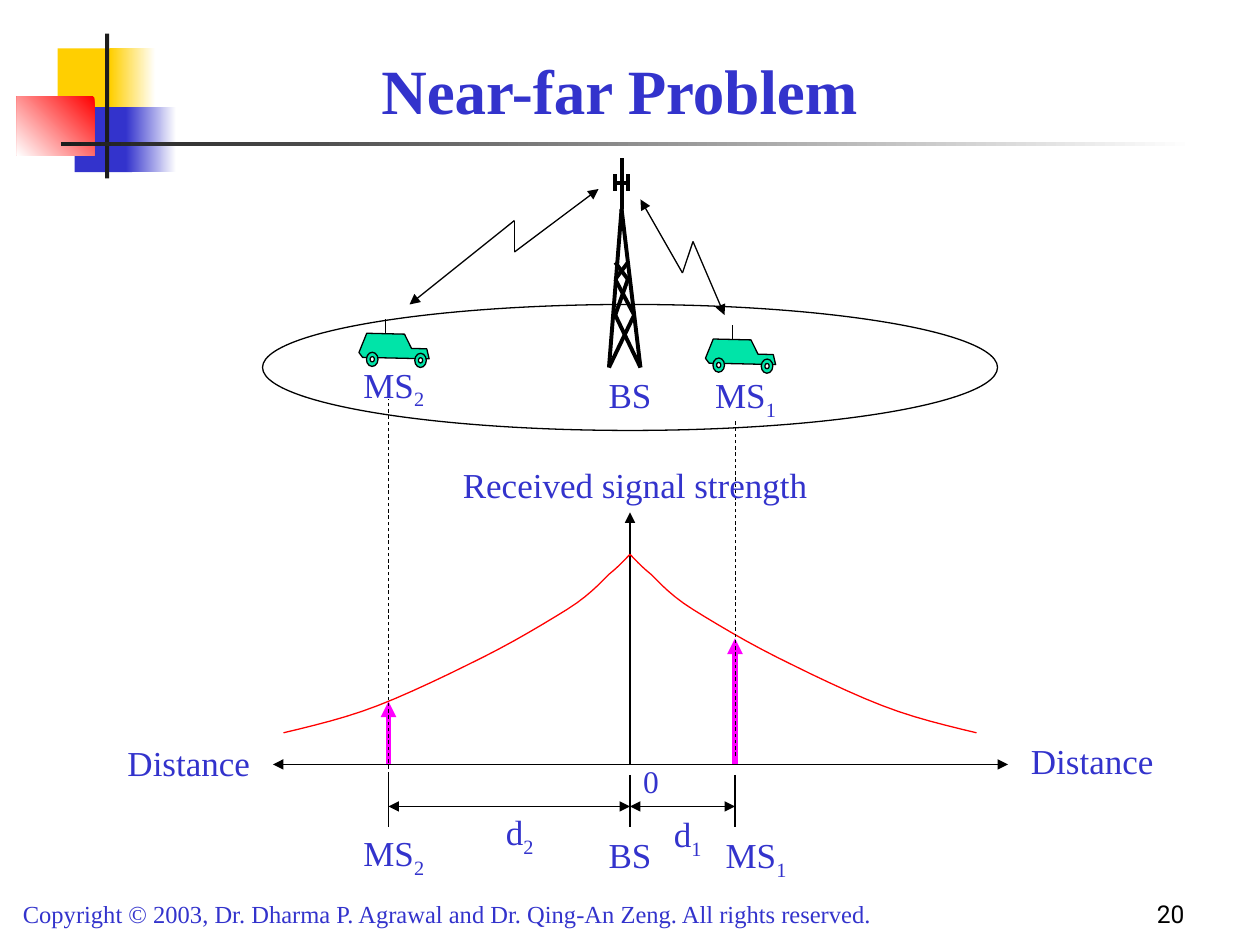
"""Build the near-far problem slide on a grid of twelfths of an inch."""
from dataclasses import dataclass

import pptx
import pptx.dml.color
import pptx.enum.dml
import pptx.enum.shapes
import pptx.enum.text
import pptx.oxml
import pptx.util
from pptx.oxml.ns import qn

COLUMNS, ROWS = 120, 90
WIDTH, HEIGHT = pptx.util.Inches(10), pptx.util.Inches(7.5)
BLUE, BLACK, WHITE, GREEN, RED, MAGENTA = "3333CC", "000000", "FFFFFF", "00E4A8", "FF0000", "FF00FF"
YELLOW, CHARCOAL = "FFCF01", "1C1C1C"
SERIF = "Times New Roman"
SHAPE = pptx.enum.shapes.MSO_SHAPE
ALIGN = pptx.enum.text.PP_ALIGN
ANCHOR = pptx.enum.text.MSO_ANCHOR
MS2_X, BS_X, MS1_X = 37, 60, 70
AXIS_Y, PEAK_Y, SPAN_Y = 72.8, 52.8, 76.8
CAR_TILT = 1.3


@dataclass
class Label:
    """A text box placed in grid cells, with an optional subscript."""
    text: str
    left: float
    top: float
    width: float
    height: float = 5.3
    subscript: str = ""
    size: int = 20
    align: ALIGN = ALIGN.CENTER
    font: str = SERIF
    color: str = BLUE
    anchor: ANCHOR = ANCHOR.TOP


@dataclass
class Stroke:
    """A straight line between two grid points."""
    start: tuple[float, float]
    end: tuple[float, float]
    color: str = BLACK
    width: float = 0.75
    head: bool = False
    tail: bool = False
    dashed: bool = False


@dataclass
class Block:
    """A decorative rectangle, fading to white where an angle is given."""
    left: float
    top: float
    width: float
    height: float
    color: str
    fade_angle: float | None = None


BLOCKS = [
    Block(5.5, 4.6, 5.8, 6.2, YELLOW), Block(10.5, 4.6, 4.3, 6.2, YELLOW, 0),
    Block(7.1, 10.2, 5.5, 6.2, BLUE), Block(12, 10.2, 4.8, 6.2, BLUE, 0),
    Block(1.6, 9.2, 7.4, 5.6, RED, 225), Block(10, 3.2, 0.4, 13.8, CHARCOAL),
    Block(5.8, 13.55, 108, 0.4, CHARCOAL, 0),
]
TOWER = [
    ((59.2, 19.9), (58, 35)), ((59.2, 19.9), (61, 35)), ((58, 35), (60.4, 30)),
    ((61, 35), (58.6, 30)), ((58.6, 30), (59.8, 26.6)), ((60.4, 30), (58.6, 26.6)),
    ((58.6, 26.6), (59.8, 25)), ((59.8, 26.6), (58.6, 25)), ((59.2, 19.9), (59.2, 15)),
    ((58.6, 17.4), (59.8, 17.4)), ((58.6, 16.6), (58.6, 18.2)), ((59.8, 16.6), (59.8, 18.2)),
]
CAR_BODY = [(0, 1.85), (0.7, 0), (4.3, 0), (5, 1.35), (6.45, 1.35), (6.7, 2.3), (0.35, 2.3)]
AXES = [
    Stroke((26, AXIS_Y), (96, AXIS_Y), head=True, tail=True),
    Stroke((BS_X, AXIS_Y), (BS_X, 48.8), tail=True),
    Stroke((MS2_X, 66.8), (MS2_X, AXIS_Y), MAGENTA, 3, head=True),
    Stroke((MS1_X, 60.8), (MS1_X, AXIS_Y), MAGENTA, 3, head=True),
]
SPANS = [Stroke((x, SPAN_Y - 3), (x, SPAN_Y + 2)) for x in (MS2_X, MS1_X, BS_X)] + [
    Stroke((left, SPAN_Y), (right, SPAN_Y), head=True, tail=True)
    for left, right in ((MS2_X, BS_X), (BS_X, MS1_X))
]
GUIDES_AND_SIGNALS = [
    Stroke((MS2_X, 78), (MS2_X, 38), width=0.5, dashed=True),
    Stroke((MS1_X, 72), (MS1_X, 40), width=0.5, dashed=True),
    Stroke((49, 24), (57, 18), tail=True), Stroke((49, 24), (49, 21)),
    Stroke((49, 21), (39, 29), tail=True), Stroke((65, 26), (61, 19), tail=True),
    Stroke((65, 26), (66, 23)), Stroke((66, 23), (69, 30), tail=True),
]
DECAY = [
    (33, 17), (30.1, 16.3), (27.1, 15.6), (24, 14.4), (20.9, 13.2), (17, 11.3), (14, 9.8),
    (11, 8.3), (8, 6.5), (6, 5.25), (4, 4), (3, 2.9), (2, 1.9), (1, 1.1), (0.4, 0.4), (0, 0),
]
LABELS = [
    Label("MS", 66, 35, 10, 5.8, "1"), Label("MS", 33, 34, 9, 5.8, "2"), Label("BS", 56, 35, 8),
    Label("Distance", 9, 70, 16, align=ALIGN.RIGHT),
    Label("Distance", 97, 69.8, 16, align=ALIGN.LEFT),
    Label("0", 58, 72, 8, 4.8, size=18),
    Label("d", 45, 76.6, 9, 5.8, "2"), Label("d", 61, 76.8, 9, 5.8, "1"),
    Label("Received signal strength", 42, 43.6, 37),
    Label("MS", 67, 78.8, 10, 5.8, "1"), Label("MS", 33, 78.6, 9, 5.8, "2"), Label("BS", 56, 78.8, 8),
    Label("Copyright © 2003, Dr. Dharma P. Agrawal and Dr. Qing-An Zeng. All rights reserved.",
          1, 85, 91, 4.1, size=14, align=ALIGN.LEFT),
    Label("20", 89, 83, 25, 6, size=14, align=ALIGN.RIGHT, font="Roboto", color=BLACK, anchor=ANCHOR.BOTTOM),
]


def cells(*lengths: float) -> list[int]:
    """Turn alternating column and row counts into slide lengths."""
    units = (WIDTH / COLUMNS, HEIGHT / ROWS)
    return [round(length * units[i % 2]) for i, length in enumerate(lengths)]


def rgb(color: str) -> pptx.dml.color.RGBColor:
    """Turn a hex string into a colour."""
    return pptx.dml.color.RGBColor.from_string(color)


def paint(shape, fill: str | None, line: str | None = None) -> None:
    """Give a shape a plain fill and a thin outline, or neither."""
    shape.shadow.inherit = False
    if fill:
        shape.fill.solid()
        shape.fill.fore_color.rgb = rgb(fill)
    else:
        shape.fill.background()
    if line:
        shape.line.color.rgb = rgb(line)
        shape.line.width = pptx.util.Pt(0.75)
    else:
        shape.line.fill.background()


def draw_block(shapes, block: Block) -> None:
    """Draw one decorative rectangle."""
    box = shapes.add_shape(SHAPE.RECTANGLE, *cells(block.left, block.top, block.width, block.height))
    paint(box, block.color)
    if block.fade_angle is not None:
        box.fill.gradient()
        box.fill.gradient_angle = block.fade_angle
        for stop, color in zip(box.fill.gradient_stops, (block.color, WHITE)):
            stop.color.rgb = rgb(color)


def draw_stroke(shapes, stroke: Stroke) -> None:
    """Draw one line with its dash and arrowheads."""
    connector = shapes.add_connector(
        pptx.enum.shapes.MSO_CONNECTOR.STRAIGHT, *cells(*stroke.start, *stroke.end))
    connector.line.color.rgb = rgb(stroke.color)
    connector.line.width = pptx.util.Pt(stroke.width)
    if stroke.dashed:
        connector.line.dash_style = pptx.enum.dml.MSO_LINE.DASH
    properties = connector._element.spPr
    outline = properties.find(qn("a:ln"))
    for tag, wanted in (("a:headEnd", stroke.head), ("a:tailEnd", stroke.tail)):
        if wanted:
            outline.append(pptx.oxml.parse_xml(f'<{tag} xmlns:a="{properties.nsmap["a"]}" type="triangle"/>'))
    properties.append(properties.makeelement(qn("a:effectLst"), {}))


def draw_outline(shapes, points: list[tuple[float, float]], closed: bool):
    """Draw a freeform through grid points."""
    start, *others = [tuple(cells(*point)) for point in points]
    builder = shapes.build_freeform(*start)
    builder.add_line_segments(others, close=closed)
    return builder.convert_to_shape()


def draw_oval(shapes, bounds: tuple[float, ...], fill: str | None, tilt: float = 0) -> None:
    """Draw an outlined ellipse."""
    oval = shapes.add_shape(SHAPE.OVAL, *cells(*bounds))
    paint(oval, fill, BLACK)
    oval.rotation = tilt


def draw_car(shapes, left: float, top: float) -> None:
    """Draw a mobile station as a grouped car with an aerial."""
    car = shapes.add_group_shape().shapes
    body = draw_outline(car, [(left + x, top + y) for x, y in CAR_BODY], True)
    paint(body, GREEN, BLACK)
    body.rotation = CAR_TILT
    for x, y in ((0.7, 1.75), (5.3, 1.85)):
        draw_oval(car, (left + x, top + y, 1.1, 1.35), GREEN, CAR_TILT)
        draw_oval(car, (left + x + 0.35, top + y + 0.42, 0.4, 0.5), WHITE, CAR_TILT)
    draw_stroke(car, Stroke((left + 2.55, top), (left + 2.55, top - 1.4)))


def draw_decay(shapes, side: int) -> None:
    """Draw signal strength falling away to one side of the base station."""
    curve = [DECAY[0]]
    for first in range(0, len(DECAY) - 1, 3):
        for t in (step / 6 for step in range(1, 7)):
            weights = ((1 - t) ** 3, 3 * t * (1 - t) ** 2, 3 * t * t * (1 - t), t ** 3)
            curve.append(tuple(sum(w * p[axis] for w, p in zip(weights, DECAY[first:first + 4]))
                               for axis in (0, 1)))
    paint(draw_outline(shapes, [(BS_X + side * x, PEAK_Y + y) for x, y in curve], False), None, RED)


def format_run(run, size: int, font: str, color: str) -> None:
    """Set a run's size, typeface and colour."""
    run.font.size, run.font.name = pptx.util.Pt(size), font
    run.font.color.rgb = rgb(color)


def draw_label(shapes, label: Label) -> None:
    """Draw one text box."""
    frame = shapes.add_textbox(*cells(label.left, label.top, label.width, label.height)).text_frame
    frame.word_wrap, frame.vertical_anchor = True, label.anchor
    frame.text = label.text
    paragraph = frame.paragraphs[0]
    paragraph.alignment = label.align
    if label.subscript:
        lowered = paragraph.add_run()
        lowered.text = label.subscript
        lowered._r.get_or_add_rPr().set("baseline", "-25000")
    for run in paragraph.runs:
        format_run(run, label.size, label.font, label.color)


def set_title(title) -> None:
    """Place and format the title."""
    title.left, title.top, title.width, title.height = cells(12, 4, 94, 9)
    title.text_frame.text = "Near-far Problem"
    title.text_frame.vertical_anchor = ANCHOR.MIDDLE
    paragraph = title.text_frame.paragraphs[0]
    paragraph.alignment = ALIGN.CENTER
    format_run(paragraph.runs[0], 36, SERIF, BLUE)
    paragraph.runs[0].font.bold = True


def main() -> None:
    """Build and save the slide."""
    deck = pptx.Presentation()
    deck.slide_width, deck.slide_height = WIDTH, HEIGHT
    slide = deck.slides.add_slide(deck.slide_layouts[5])
    shapes = slide.shapes
    set_title(shapes.title)
    for block in BLOCKS:
        draw_block(shapes, block)
    draw_oval(shapes, (25, 29, 70, 12), None)
    tower = shapes.add_group_shape().shapes
    for start, end in TOWER:
        draw_stroke(tower, Stroke(start, end, width=2.25))
    draw_car(shapes, 34.2, 31.8)
    draw_car(shapes, 67.2, 32.35)
    for stroke in AXES:
        draw_stroke(shapes, stroke)
    for side in (-1, 1):
        draw_decay(shapes, side)
    for stroke in SPANS + GUIDES_AND_SIGNALS:
        draw_stroke(shapes, stroke)
    for label in LABELS:
        draw_label(shapes, label)
    deck.save("out.pptx")


if __name__ == "__main__":
    main()
